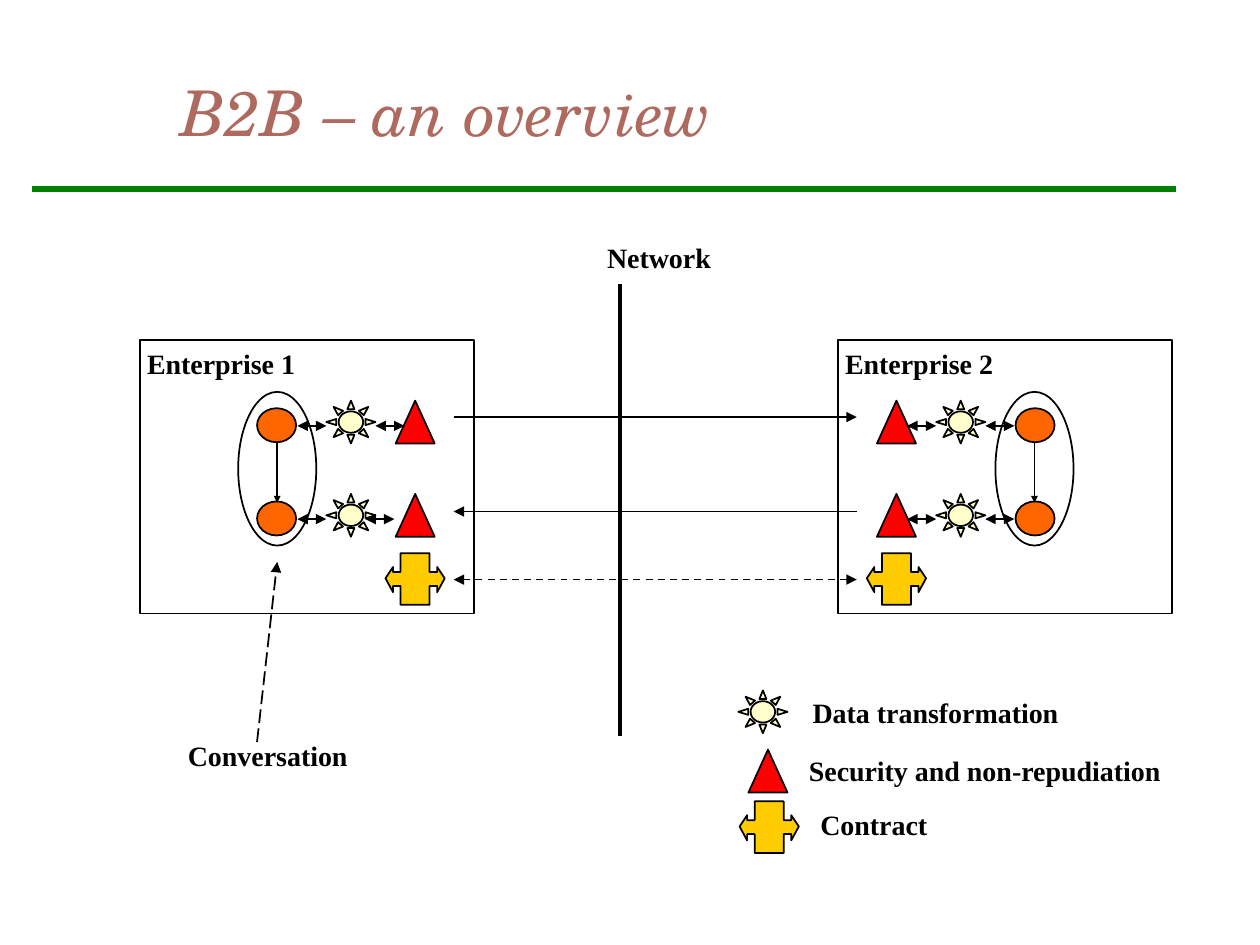
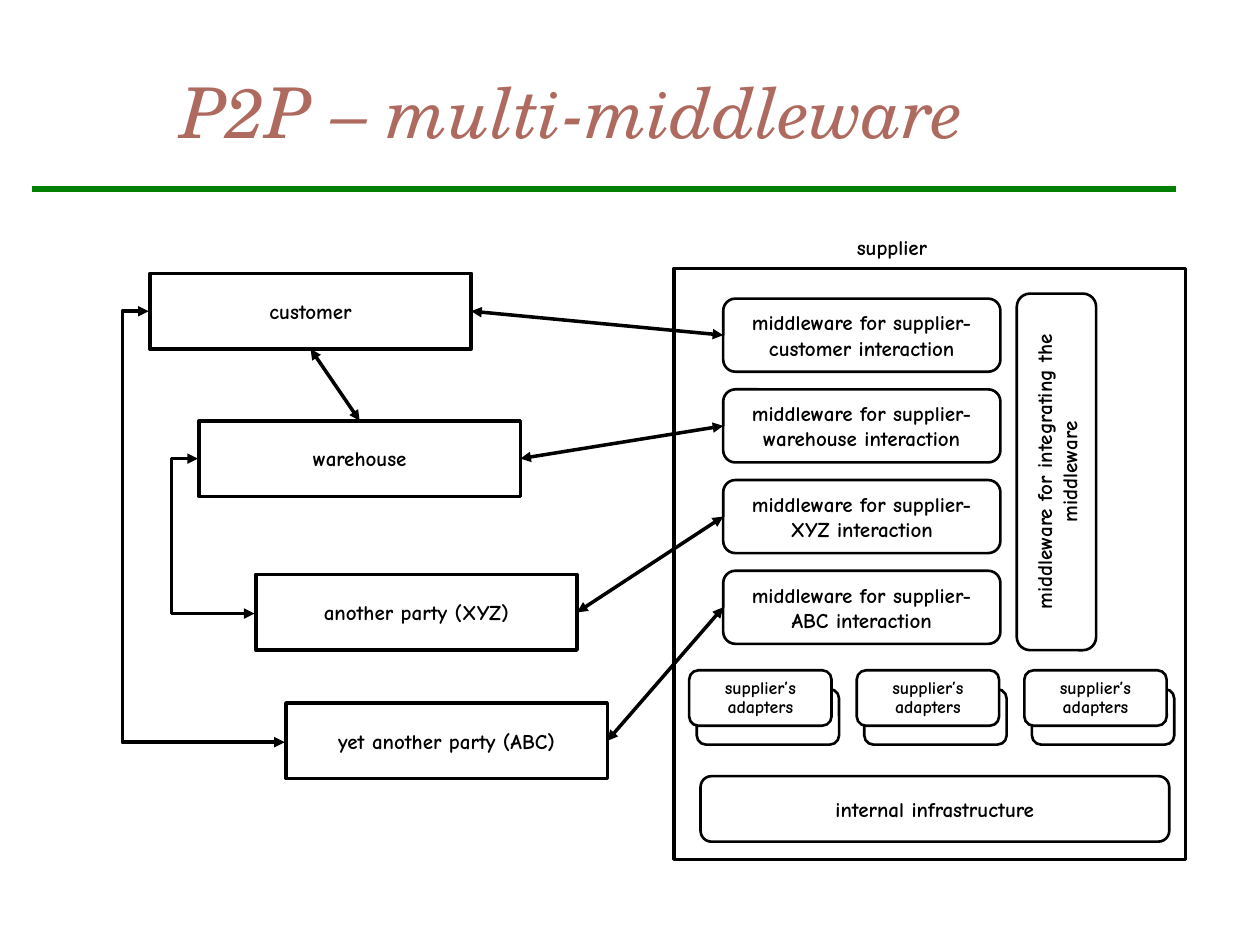
"""Build two slides on B2B integration and peer-to-peer middleware."""
from lxml import etree
from pptx import Presentation
from pptx.dml.color import RGBColor
from pptx.enum import dml, shapes, text
from pptx.oxml import ns
from pptx.util import Inches, Pt

BLACK = RGBColor(0x00, 0x00, 0x00)
WHITE = RGBColor(0xFF, 0xFF, 0xFF)
TITLE_COLOR = RGBColor(0xAF, 0x6A, 0x5F)
RULE_GREEN = RGBColor(0x00, 0x80, 0x00)
CREAM = RGBColor(0xFF, 0xFF, 0xCC)
RED = RGBColor(0xFF, 0x00, 0x00)
ORANGE = RGBColor(0xFF, 0x66, 0x00)
GOLD = RGBColor(0xFF, 0xCC, 0x00)

TITLE_FONT = "TeX Gyre Schola"
LABEL_FONT = "Times New Roman"
BOX_FONT = "Comic Neue"

KIND = shapes.MSO_SHAPE
LINK = shapes.MSO_CONNECTOR
TOP, LEFT, BOTTOM, RIGHT = range(4)

MIRROR_WIDTH = 10.41
ROW_TOPS = (3.18, 3.92)
CONTRACT_WIDTH = 0.47
CONTRACT_HALF = [(0.35, 0), (0.35, 0.15), (0.41, 0.15), (0.41, 0.11), (0.47, 0.2),
                 (0.41, 0.31), (0.41, 0.26), (0.35, 0.26), (0.35, 0.41)]


def set_font(font, name, size, color=BLACK, bold=False, italic=False):
    """Apply typeface, size, colour and style."""
    font.name, font.size = name, Pt(size)
    font.color.rgb = color
    font.bold, font.italic = bold, italic


def add_line(slide, start, end, width=1, heads="", dash=None, color=BLACK,
             kind=LINK.STRAIGHT, head_size="med"):
    """Draw a connector; heads names the arrow ends, such as 'head tail'."""
    connector = slide.shapes.add_connector(
        kind, *(Inches(value) for value in (*start, *end)))
    connector.line.width = Pt(width)
    connector.line.color.rgb = color
    if dash:
        connector.line.dash_style = dash
    properties = connector.element.spPr
    outline = properties.find(ns.qn("a:ln"))
    for end_name in heads.split():
        etree.SubElement(outline, ns.qn(f"a:{end_name}End"), type="triangle",
                         w=head_size, len=head_size)
    etree.SubElement(properties, ns.qn("a:effectLst"))
    return connector


def join(slide, first, first_side, second, second_side):
    """Join two boxes with a straight two-way arrow."""
    connector = add_line(slide, (0, 0), (1, 1), 2, "head tail")
    connector.begin_connect(first, first_side)
    connector.end_connect(second, second_side)


def add_elbow(slide, start, end, bend_x):
    """Draw a two-way elbow arrow that bends at bend_x."""
    connector = add_line(slide, start, end, 2, "head tail", kind=LINK.ELBOW)
    geometry = connector.element.spPr.find(ns.qn("a:prstGeom"))
    guides = geometry.find(ns.qn("a:avLst"))
    if guides is None:
        guides = etree.SubElement(geometry, ns.qn("a:avLst"))
    share = round((bend_x - start[0]) / (end[0] - start[0]) * 100000)
    etree.SubElement(guides, ns.qn("a:gd"), name="adj1", fmla=f"val {share}")


def style_shape(shape, fill, width):
    """Set fill and black outline without shadow."""
    shape.shadow.inherit = False
    if fill is None:
        shape.fill.background()
    else:
        shape.fill.solid()
        shape.fill.fore_color.rgb = fill
    shape.line.color.rgb = BLACK
    shape.line.width = Pt(width)


def add_shape(slide, kind, left, top, width, height, fill=None, line_width=1):
    """Add an outlined preset shape."""
    shape = slide.shapes.add_shape(
        kind, *(Inches(value) for value in (left, top, width, height)))
    style_shape(shape, fill, line_width)
    return shape


def add_box(slide, kind, left, top, width, height, words, fill=None, size=12):
    """Add a box with centred text."""
    line_width = 2 if kind == KIND.RECTANGLE else 1.5
    box = add_shape(slide, kind, left, top, width, height, fill, line_width)
    frame = box.text_frame
    frame.word_wrap = True
    frame.vertical_anchor = text.MSO_ANCHOR.MIDDLE
    paragraph = frame.paragraphs[0]
    paragraph.text = words
    paragraph.alignment = text.PP_ALIGN.CENTER
    set_font(paragraph.font, BOX_FONT, size, bold=True)
    return box


def add_label(slide, words, left, top, width, font=LABEL_FONT, size=16):
    """Add a bold one-line label, centred without side margins."""
    box = slide.shapes.add_textbox(
        Inches(left), Inches(top), Inches(width), Inches(0.37))
    frame = box.text_frame
    frame.word_wrap = False
    frame.margin_left = frame.margin_right = 0
    paragraph = frame.paragraphs[0]
    paragraph.text = words
    paragraph.alignment = text.PP_ALIGN.CENTER
    set_font(paragraph.font, font, size, bold=True)


def add_contract(slide, left, top):
    """Draw the two-headed contract symbol."""
    mirrored = [(CONTRACT_WIDTH - x, y) for x, y in reversed(CONTRACT_HALF)]
    points = [(Inches(left + x), Inches(top + y)) for x, y in CONTRACT_HALF + mirrored]
    builder = slide.shapes.build_freeform(*points[0])
    builder.add_line_segments(points[1:], close=True)
    style_shape(builder.convert_to_shape(), GOLD, 1)


def add_sun(slide, left, top):
    """Draw the data transformation symbol."""
    add_shape(slide, KIND.SUN, left, top, 0.39, 0.34, CREAM)


def add_triangle(slide, left, top):
    """Draw the security symbol."""
    add_shape(slide, KIND.ISOSCELES_TRIANGLE, left, top, 0.31, 0.34, RED)


def add_titled_slide(presentation, title, size):
    """Add a slide with the shared title style and green rule."""
    slide = presentation.slides.add_slide(presentation.slide_layouts[5])
    add_line(slide, (0.25, 1.5), (9.33, 1.5), 4, color=RULE_GREEN)
    shape = slide.shapes.title
    shape.left, shape.top = Inches(1.33), Inches(0.42)
    shape.width, shape.height = Inches(8.5), Inches(0.92)
    frame = shape.text_frame
    frame.auto_size = text.MSO_AUTO_SIZE.NONE
    frame.vertical_anchor = text.MSO_ANCHOR.MIDDLE
    paragraph = frame.paragraphs[0]
    paragraph.text = title
    paragraph.alignment = text.PP_ALIGN.LEFT
    set_font(paragraph.font, TITLE_FONT, size, TITLE_COLOR, italic=True)
    return slide


def add_enterprise(slide, name, mirrored, lower_arrow):
    """Draw one enterprise, mirrored for the right-hand side."""
    def place(left, width):
        return MIRROR_WIDTH - left - width if mirrored else left

    frame_left = place(1.11, 2.65)
    add_shape(slide, KIND.RECTANGLE, frame_left, 2.7, 2.65, 2.17)
    add_label(slide, name, frame_left - 0.04, 2.7, 1.37)
    add_shape(slide, KIND.OVAL, place(1.89, 0.62), 3.11, 0.62, 1.22)
    for top, security_arrow in zip(ROW_TOPS, (2.98, lower_arrow)):
        add_sun(slide, place(2.59, 0.39), top)
        add_triangle(slide, place(3.14, 0.31), top)
        add_shape(slide, KIND.OVAL, place(2.04, 0.31), top + 0.06, 0.31, 0.27, ORANGE)
        for arrow_left in (2.36, security_arrow):
            left = place(arrow_left, 0.23)
            add_line(slide, (left, top + 0.2), (left + 0.23, top + 0.2),
                     heads="head tail")
    center = place(2.2, 0)
    add_line(slide, (center, 3.51), (center, 3.99), heads="tail", head_size="sm")
    add_contract(slide, place(3.06, CONTRACT_WIDTH), 4.39)


def build_b2b(presentation):
    """Build the B2B overview."""
    slide = add_titled_slide(presentation, "B2B – an overview", 36)
    add_line(slide, (4.92, 2.25), (4.92, 5.84), 2.25)
    add_label(slide, "Network", 4.72, 1.86, 1.02)
    add_enterprise(slide, "Enterprise 1", False, 2.9)
    add_enterprise(slide, "Enterprise 2", True, 2.98)
    add_line(slide, (3.6, 3.31), (6.8, 3.31), heads="tail")
    add_line(slide, (6.8, 4.06), (3.6, 4.06), heads="tail")
    add_line(slide, (3.6, 4.6), (6.8, 4.6), heads="head tail",
             dash=dml.MSO_LINE.DASH)
    add_label(slide, "Conversation", 1.39, 5.81, 1.47)
    add_line(slide, (2.04, 5.89), (2.2, 4.46), heads="tail",
             dash=dml.MSO_LINE.LONG_DASH)
    add_sun(slide, 5.86, 5.48)
    add_label(slide, "Data transformation", 6.35, 5.47, 2.15)
    add_triangle(slide, 5.94, 5.95)
    add_label(slide, "Security and non-repudiation", 6.32, 5.93, 2.99)
    add_contract(slide, 5.87, 6.36)
    add_label(slide, "Contract", 6.41, 6.36, 1.05)


def build_p2p(presentation):
    """Build the multi-middleware view of the supplier and its partners."""
    slide = add_titled_slide(presentation, "P2P – multi-middleware", 40)
    add_shape(slide, KIND.RECTANGLE, 5.35, 2.13, 4.06, 4.69, line_width=2)
    add_label(slide, "supplier", 6.7, 1.81, 0.76, BOX_FONT, 12)
    partners = [("customer", "customer", 1.19, 2.17),
                ("warehouse", "warehouse", 1.58, 3.34),
                ("another party (XYZ)", "XYZ", 2.03, 4.56),
                ("yet another party (ABC)", "ABC", 2.27, 5.58)]
    partner_boxes = []
    for row, (name, short_name, left, top) in enumerate(partners):
        partner = add_box(slide, KIND.RECTANGLE, left, top, 2.55, 0.6, name)
        middleware = add_box(slide, KIND.ROUNDED_RECTANGLE, 5.74, 2.37 + 0.72 * row,
                             2.2, 0.58,
                             f"middleware for supplier-{short_name} interaction")
        join(slide, partner, RIGHT, middleware, LEFT)
        partner_boxes.append(partner)
    customer, warehouse = partner_boxes[:2]
    join(slide, customer, BOTTOM, warehouse, TOP)
    add_elbow(slide, (1.18, 2.47), (2.26, 5.89), 0.97)
    add_elbow(slide, (1.57, 3.64), (2.02, 4.87), 1.36)

    integration = add_box(slide, KIND.ROUNDED_RECTANGLE, 6.97, 3.43, 2.83, 0.63,
                          "middleware for integrating the middleware")
    integration.rotation = 270
    for column in range(3):
        left = 5.47 + 1.33 * column
        add_shape(slide, KIND.ROUNDED_RECTANGLE, left + 0.06, 5.47, 1.13, 0.44,
                  WHITE, 1.5)
        adapter = add_box(slide, KIND.ROUNDED_RECTANGLE, left, 5.32, 1.13, 0.44,
                          "supplier’s adapters", WHITE, 10.2)
        adapter.text_frame.paragraphs[0].line_spacing = 0.9
    add_box(slide, KIND.ROUNDED_RECTANGLE, 5.56, 6.16, 3.72, 0.52,
            "internal infrastructure")


def main():
    """Build and save the presentation."""
    presentation = Presentation()
    presentation.slide_width, presentation.slide_height = Inches(10), Inches(7.5)
    build_b2b(presentation)
    build_p2p(presentation)
    presentation.save("out.pptx")


if __name__ == "__main__":
    main()
